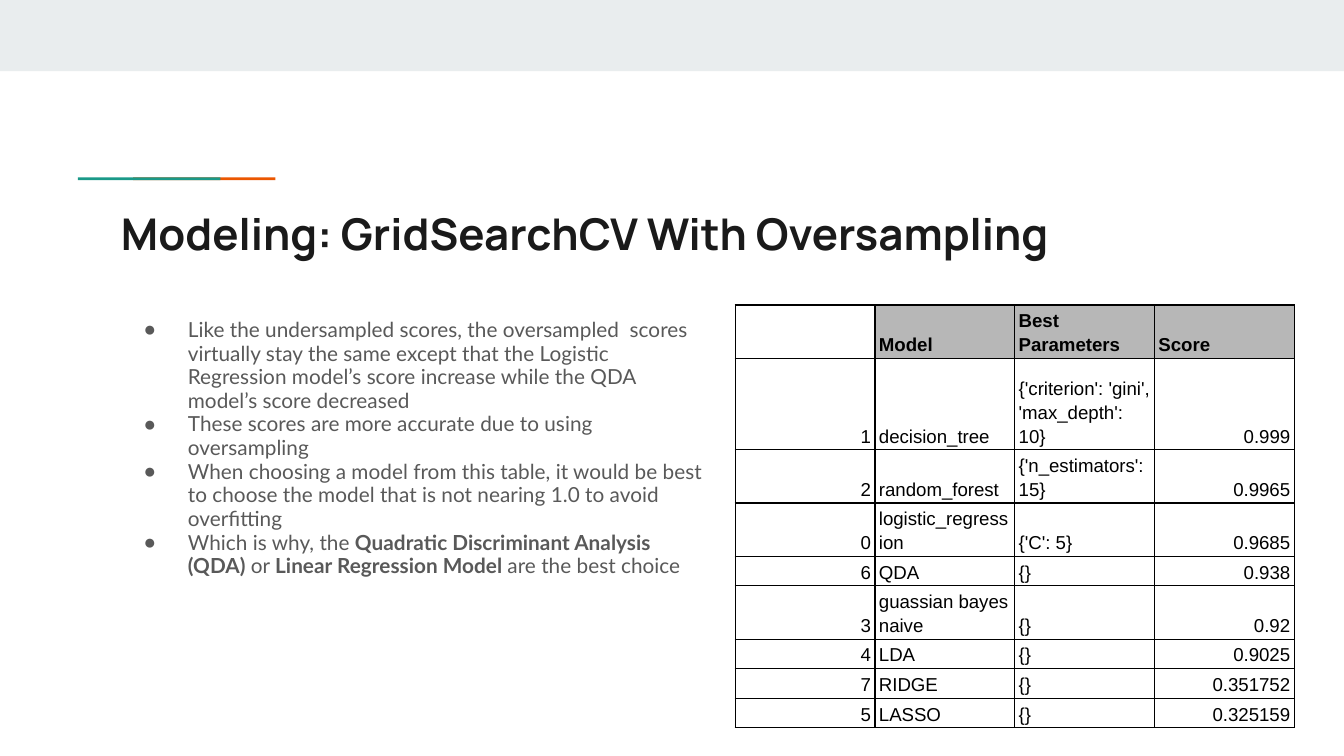
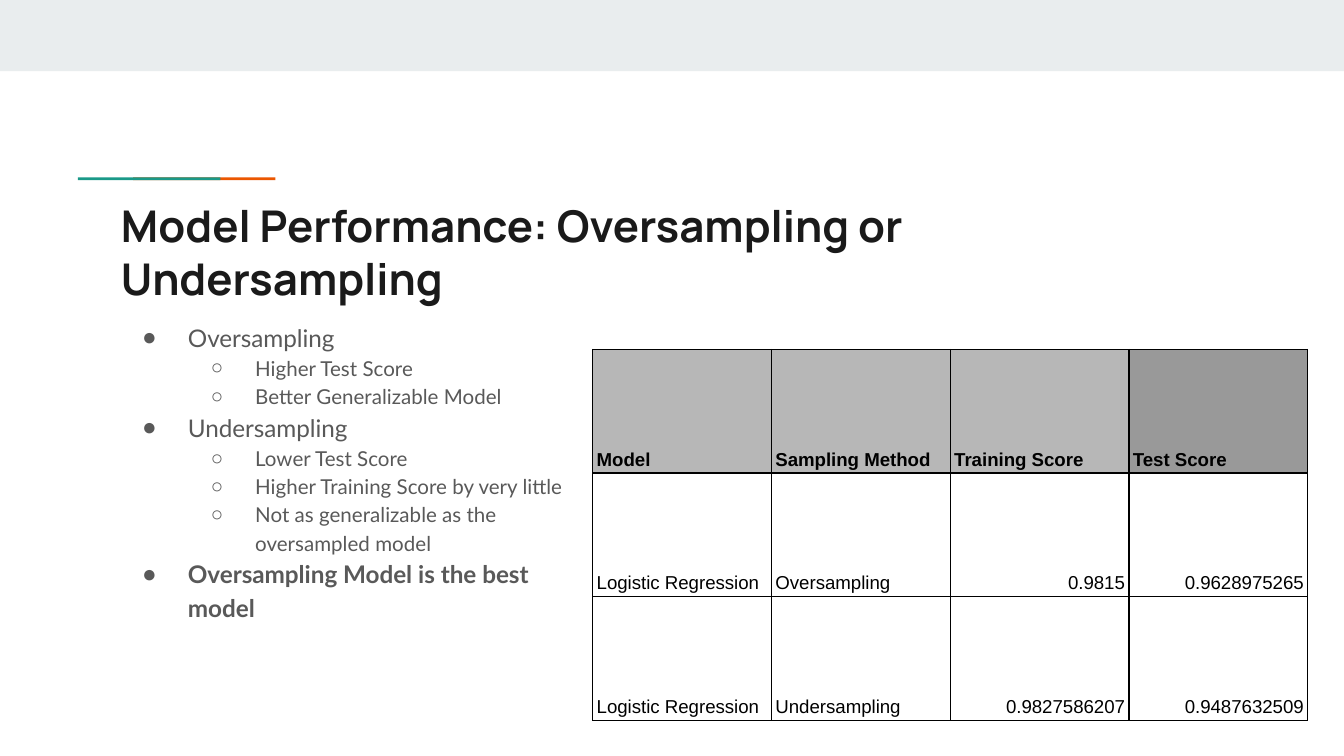
"""Build two slides that compare model scores under over- and undersampling."""
from dataclasses import dataclass

import lxml.etree
import pptx
import pptx.dml.color
import pptx.enum.shapes
import pptx.enum.text
import pptx.oxml.ns
import pptx.util

Inches = pptx.util.Inches
Pt = pptx.util.Pt
ALIGN = pptx.enum.text.PP_ALIGN
ANCHOR = pptx.enum.text.MSO_ANCHOR
qn = pptx.oxml.ns.qn


@dataclass(frozen=True)
class Theme:
    band: str = "E9EDEE"
    teal: str = "1A9988"
    orange: str = "EB5600"
    title: str = "1A1A1A"
    body: str = "595959"
    table: str = "000000"
    header: str = "B7B7B7"
    header_dark: str = "999999"
    title_font: str = "Manrope"
    body_font: str = "Lato"
    table_font: str = "Arial"
    bullet_font: str = "Arial"
    title_size: float = 23.4
    remark_size: float = 11.1
    heading_size: float = 13
    detail_size: float = 11
    table_size: float = 10
    border: float = 0.75


@dataclass(frozen=True)
class Bar:
    left: float
    top: float
    width: float
    height: float
    color: str


@dataclass(frozen=True)
class Bullet:
    runs: tuple[tuple[str, bool], ...]
    size: float
    level: int = 0
    hang: float = 0.33
    spacing: float = 1.15


@dataclass(frozen=True)
class ScoreTable:
    left: float
    top: float
    col_width: float
    row_heights: tuple[float, ...]
    header_fills: tuple[str | None, ...]
    number_cols: tuple[int, ...]
    rows: tuple[tuple[str, ...], ...]


@dataclass(frozen=True)
class Page:
    title: str
    title_top: float
    body_width: float
    body_height: float
    bullets: tuple[Bullet, ...]
    table: ScoreTable


T = Theme()
LEFT, BODY_TOP = 0.8, 2.27
BARS = (
    Bar(0, 0, 10, 0.53, T.band),
    Bar(0.99, 1.32, 1.06, 0.02, T.orange),
    Bar(0.58, 1.32, 1.06, 0.02, T.teal),
)


def rgb(color: str) -> pptx.dml.color.RGBColor:
    return pptx.dml.color.RGBColor.from_string(color)


def style_run(r, font: str, size: float, color: str, bold: bool = False) -> None:
    r.font.name = font
    r.font.size = Pt(size)
    r.font.bold = bold
    r.font.color.rgb = rgb(color)


def draw_bar(s, bar: Bar) -> None:
    sp = s.shapes.add_shape(
        pptx.enum.shapes.MSO_SHAPE.RECTANGLE,
        Inches(bar.left), Inches(bar.top), Inches(bar.width), Inches(bar.height))
    sp.shadow.inherit = False
    sp.fill.solid()
    sp.fill.fore_color.rgb = rgb(bar.color)
    sp.line.fill.background()


def prepare_frame(tf) -> None:
    tf.word_wrap = True
    tf.auto_size = pptx.enum.text.MSO_AUTO_SIZE.NONE
    tf.vertical_anchor = ANCHOR.TOP
    tf.margin_left = tf.margin_right = Inches(0.1)
    tf.margin_top = tf.margin_bottom = Inches(0.1)


def draw_title(s, text: str, top: float) -> None:
    sp = s.shapes.title
    sp.left, sp.top = Inches(LEFT), Inches(top)
    sp.width, sp.height = Inches(8.41), Inches(0.59)
    tf = sp.text_frame
    tf.text = text
    prepare_frame(tf)
    p = tf.paragraphs[0]
    p.alignment = ALIGN.LEFT
    p.line_spacing = 1.0
    p.space_before = Pt(0)
    style_run(p.runs[0], T.title_font, T.title_size, T.title, True)


def set_bullet(p, bullet: Bullet) -> None:
    pPr = p._p.get_or_add_pPr()
    pPr.set("marL", str(Inches(0.5 * (bullet.level + 1))))
    pPr.set("indent", str(-Inches(bullet.hang)))
    color = lxml.etree.SubElement(pPr, qn("a:buClr"))
    lxml.etree.SubElement(color, qn("a:srgbClr"), val=T.body)
    lxml.etree.SubElement(pPr, qn("a:buFont"), typeface=T.bullet_font)
    lxml.etree.SubElement(pPr, qn("a:buChar"), char="●○"[bullet.level])


def draw_bullets(s, page: Page) -> None:
    sp = s.shapes.add_textbox(Inches(LEFT), Inches(BODY_TOP),
                              Inches(page.body_width), Inches(page.body_height))
    tf = sp.text_frame
    prepare_frame(tf)
    for i, bullet in enumerate(page.bullets):
        p = tf.add_paragraph() if i else tf.paragraphs[0]
        p.level = bullet.level
        p.line_spacing = bullet.spacing
        set_bullet(p, bullet)
        for text, bold in bullet.runs:
            r = p.add_run()
            r.text = text
            style_run(r, T.body_font, bullet.size, T.body, bold)


def set_borders(cell) -> None:
    tcPr = cell._tc.get_or_add_tcPr()
    for side in ("a:lnL", "a:lnR", "a:lnT", "a:lnB"):
        ln = lxml.etree.SubElement(tcPr, qn(side), w=str(Pt(T.border)))
        fill = lxml.etree.SubElement(ln, qn("a:solidFill"))
        lxml.etree.SubElement(fill, qn("a:srgbClr"), val=T.table)


def draw_cell(cell, text: str, fill: str | None, bold: bool, right: bool) -> None:
    set_borders(cell)
    if fill:
        cell.fill.solid()
        cell.fill.fore_color.rgb = rgb(fill)
    else:
        cell.fill.background()
    cell.vertical_anchor = ANCHOR.BOTTOM
    cell.margin_left = cell.margin_right = Inches(0.03)
    cell.margin_top = cell.margin_bottom = Inches(0.02)
    p = cell.text_frame.paragraphs[0]
    p.text = text
    p.line_spacing = 1.15
    p.alignment = ALIGN.RIGHT if right else ALIGN.LEFT
    for r in p.runs:
        style_run(r, T.table_font, T.table_size, T.table, bold)


def draw_table(s, spec: ScoreTable) -> None:
    n_cols = len(spec.header_fills)
    tbl = s.shapes.add_table(
        len(spec.rows), n_cols, Inches(spec.left), Inches(spec.top),
        Inches(spec.col_width * n_cols), Inches(sum(spec.row_heights))).table
    tbl.first_row = tbl.horz_banding = False
    for col in tbl.columns:
        col.width = Inches(spec.col_width)
    for i, (height, values) in enumerate(zip(spec.row_heights, spec.rows)):
        tbl.rows[i].height = Inches(height)
        for j, text in enumerate(values):
            header = i == 0
            draw_cell(tbl.cell(i, j), text, spec.header_fills[j] if header else None,
                      header, not header and j in spec.number_cols)


def draw_page(prs, page: Page) -> None:
    s = prs.slides.add_slide(prs.slide_layouts[5])
    for bar in BARS:
        draw_bar(s, bar)
    draw_title(s, page.title, page.title_top)
    draw_bullets(s, page)
    draw_table(s, page.table)


def remark(*runs: tuple[str, bool]) -> Bullet:
    return Bullet(runs, T.remark_size, spacing=0.95)


def heading(text: str, bold: bool = False) -> Bullet:
    return Bullet(((text, bold),), T.heading_size, hang=0.34)


def detail(text: str) -> Bullet:
    return Bullet(((text, False),), T.detail_size, level=1)


GRID_SEARCH = Page(
    "Modeling: GridSearchCV With Oversampling", 1.44, 4.54, 2.47,
    (
        remark(("Like the undersampled scores, the oversampled  scores virtually stay "
                "the same except that the Logistic Regression model’s score increase "
                "while the QDA model’s score decreased", False)),
        remark(("These scores are more accurate due to using oversampling", False)),
        remark(("When choosing a model from this table, it would be best to choose the "
                "model that is not nearing 1.0 to avoid overfitting", False)),
        remark(("Which is why, the ", False),
               ("Quadratic Discriminant Analysis (QDA)", True), (" or ", False),
               ("Linear Regression Model ", True), ("are the best choice", False)),
    ),
    ScoreTable(
        5.47, 2.27, 1.04, (0.36, 0.68, 0.36, 0.22, 0.22, 0.36, 0.22, 0.22, 0.22),
        (None, T.header, T.header, T.header), (0, 3),
        (
            ("", "Model", "Best Parameters", "Score"),
            ("1", "decision_tree", "{'criterion': 'gini', 'max_depth': 10}", "0.999"),
            ("2", "random_forest", "{'n_estimators': 15}", "0.9965"),
            ("0", "logistic_regression", "{'C': 5}", "0.9685"),
            ("6", "QDA", "{}", "0.938"),
            ("3", "guassian bayes naive", "{}", "0.92"),
            ("4", "LDA", "{}", "0.9025"),
            ("7", "RIDGE", "{}", "0.351752"),
            ("5", "LASSO", "{}", "0.325159"),
        )),
)

PERFORMANCE = Page(
    "Model Performance: Oversampling or Undersampling", 1.38, 3.55, 2.7,
    (
        heading("Oversampling"),
        detail("Higher Test Score"),
        detail("Better Generalizable Model"),
        heading("Undersampling"),
        detail("Lower Test Score"),
        detail("Higher Training Score by very little"),
        detail("Not as generalizable as the oversampled model"),
        heading("Oversampling Model is the best model", True),
    ),
    ScoreTable(
        4.41, 2.6, 1.33, (0.92,) * 3,
        (T.header, T.header, T.header, T.header_dark), (2, 3),
        (
            ("Model", "Sampling Method", "Training Score", "Test Score"),
            ("Logistic Regression", "Oversampling", "0.9815", "0.9628975265"),
            ("Logistic Regression", "Undersampling", "0.9827586207", "0.9487632509"),
        )),
)


def main() -> None:
    prs = pptx.Presentation()
    prs.slide_width = Inches(10)
    prs.slide_height = prs.slide_width * 9 // 16
    for page in (GRID_SEARCH, PERFORMANCE):
        draw_page(prs, page)
    prs.save("out.pptx")


if __name__ == "__main__":
    main()
